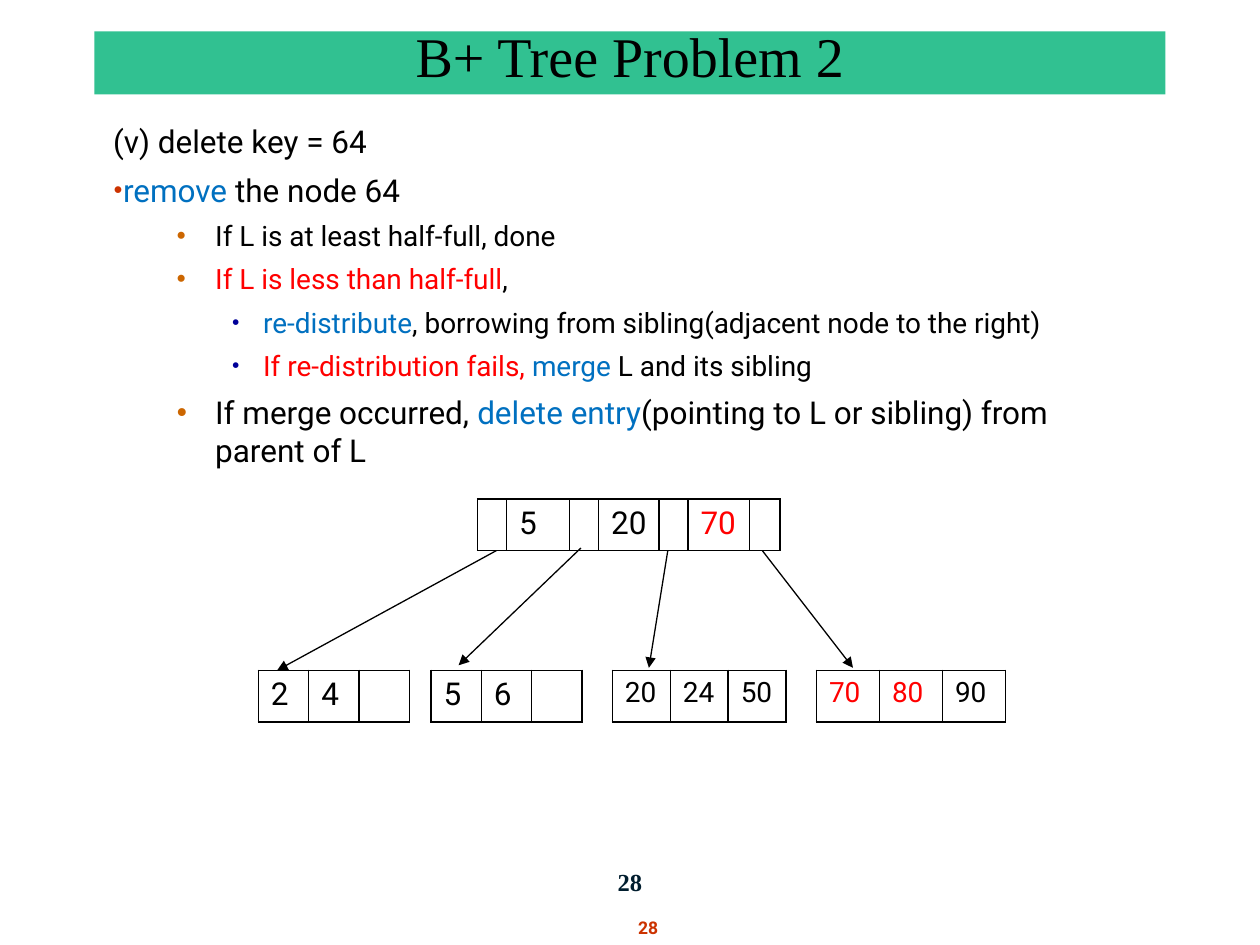
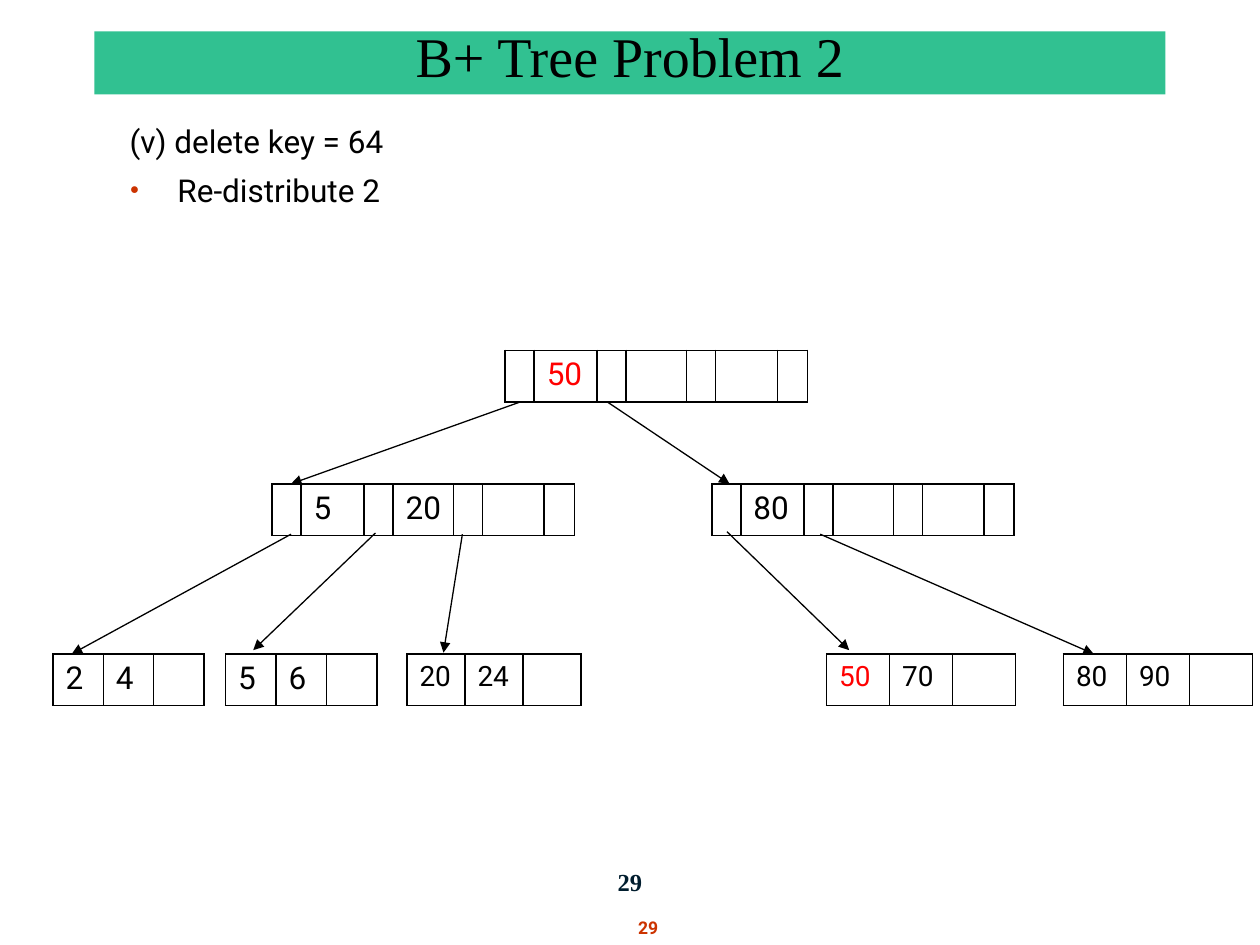
from lxml.etree import SubElement
from pptx import Presentation
from pptx.dml.color import RGBColor
from pptx.enum.shapes import MSO_CONNECTOR, MSO_SHAPE
from pptx.enum.text import MSO_ANCHOR, PP_ALIGN
from pptx.oxml.ns import qn
from pptx.util import Inches, Pt

BLACK = RGBColor(0x00, 0x00, 0x00)
WHITE = RGBColor(0xFF, 0xFF, 0xFF)
RED = RGBColor(0xFF, 0x00, 0x00)
BLUE = RGBColor(0x00, 0x70, 0xC0)
GREEN = RGBColor(0x31, 0xC1, 0x91)
NAVY = RGBColor(0x00, 0x1D, 0x2E)
RUST = RGBColor(0xCC, 0x33, 0x00)
ORANGE = RGBColor(0xCC, 0x66, 0x00)
INDIGO = RGBColor(0x00, 0x00, 0x99)

SANS = "Roboto"
SERIF = "Times New Roman"
TITLE = "B+ Tree Problem 2"
NODE_HEIGHT = 0.41
INNER_COLUMNS = [0.23, 0.5, 0.23, 0.48, 0.23, 0.49, 0.24]
NARROW_LEAF = [0.4] * 3
MEDIUM_LEAF = [0.46] * 3
WIDE_LEAF = [0.5] * 3

PLAIN = (0, 0, None, None)
FLUSH_BULLET = (0, 0, RUST, 90)
PLAIN_HANGING = (0.38, -0.38, None, None)
MAIN_BULLET = (0.38, -0.38, RUST, 90)
SUB_BULLET = (0.81, -0.31, ORANGE, 105)
DETAIL_BULLET = (1.19, -0.25, INDIGO, 85)

PAGES = [
    {
        "number": "28",
        "body": (0.8, 0.92, 8.3, 2.7),
        "paragraphs": [
            (PLAIN, 18, [("(v) delete key = 64", BLACK)]),
            (FLUSH_BULLET, 18, [("remove", BLUE), (" the node 64", BLACK)]),
            (SUB_BULLET, 16, [("If L is at least half-full, done", BLACK)]),
            (SUB_BULLET, 16, [("If L is less than half-full", RED), (",", BLACK)]),
            (DETAIL_BULLET, 16, [
                ("re-distribute", BLUE),
                (", borrowing from sibling(adjacent node to the right)", BLACK),
            ]),
            (DETAIL_BULLET, 16, [
                ("If re-distribution fails, ", RED),
                ("merge", BLUE),
                (" L and its sibling", BLACK),
            ]),
            (SUB_BULLET, 18, [
                ("If merge occurred, ", BLACK),
                ("delete entry", BLUE),
                ("(pointing to L or sibling) from parent of L", BLACK),
            ]),
        ],
        "red_keys": {"70", "80"},
        "inner_nodes": [(3.79, 3.96, ["5", "20", "70"])],
        "leaf_top": 5.32,
        "leaves": [
            (2.05, NARROW_LEAF, 18, ["2", "4", ""]),
            (3.42, NARROW_LEAF, 18, ["5", "6", ""]),
            (4.86, MEDIUM_LEAF, 16, ["20", "24", "50"]),
            (6.48, WIDE_LEAF, 16, ["70", "80", "90"]),
        ],
        "arrows": [
            (3.94, 4.37, 2.2, 5.32),
            (4.61, 4.35, 3.64, 5.28),
            (5.3, 4.37, 5.15, 5.3),
            (6.05, 4.37, 6.77, 5.3),
        ],
    },
    {
        "number": "29",
        "body": (0.93, 0.92, 8.65, 5.72),
        "paragraphs": [
            (PLAIN_HANGING, 18, [("(v) delete key = 64", BLACK)]),
            (MAIN_BULLET, 18, [("Re-distribute 2", BLACK)]),
        ],
        "red_keys": {"50"},
        "inner_nodes": [
            (4.01, 2.78, ["50", "", ""]),
            (2.16, 3.84, ["5", "20", ""]),
            (5.65, 3.84, ["80", "", ""]),
        ],
        "leaf_top": 5.19,
        "leaves": [
            (0.42, NARROW_LEAF, 18, ["2", "4", ""]),
            (1.79, NARROW_LEAF, 18, ["5", "6", ""]),
            (3.23, MEDIUM_LEAF, 16, ["20", "24", ""]),
            (6.56, WIDE_LEAF, 16, ["50", "70", ""]),
            (8.44, WIDE_LEAF, 16, ["80", "90", ""]),
        ],
        "arrows": [
            (4.13, 3.19, 2.31, 3.84),
            (4.82, 3.19, 5.79, 3.84),
            (2.31, 4.24, 0.57, 5.19),
            (2.98, 4.23, 2.01, 5.16),
            (3.67, 4.24, 3.52, 5.18),
            (5.77, 4.22, 6.74, 5.16),
            (6.51, 4.24, 8.68, 5.19),
        ],
    },
]


def write_centred(box, text, font_name, size, color, bold=False):
    para = box.text_frame.paragraphs[0]
    para.text = text
    para.alignment = PP_ALIGN.CENTER
    para.font.name = font_name
    para.font.size = Pt(size)
    para.font.bold = bold
    para.font.color.rgb = color


def add_node(page, left, top, columns, size, keys, red_keys):
    frame = page.shapes.add_table(
        1, len(columns), Inches(left), Inches(top), Inches(sum(columns)), Inches(NODE_HEIGHT)
    )
    table = frame.table
    table.first_row = False
    table.horz_banding = False
    for column, width in zip(table.columns, columns):
        column.width = Inches(width)
    for cell, key in zip(table.rows[0].cells, keys):
        cell.margin_right = Inches(0.05)
        properties = cell._tc.get_or_add_tcPr()
        for side in ("a:lnL", "a:lnR", "a:lnT", "a:lnB"):
            border = SubElement(properties, qn(side), w=str(Pt(1)))
            fill = SubElement(border, qn("a:solidFill"))
            SubElement(fill, qn("a:srgbClr"), val=str(BLACK))
        cell.fill.solid()
        cell.fill.fore_color.rgb = WHITE
        para = cell.text_frame.paragraphs[0]
        para.text = key
        para.font.name = SANS
        para.font.size = Pt(size)
        para.font.color.rgb = RED if key in red_keys else BLACK


deck = Presentation()
deck.slide_width = Inches(10)
deck.slide_height = Inches(7.5)

for content in PAGES:
    page = deck.slides.add_slide(deck.slide_layouts[6])

    small_number = page.shapes.add_textbox(Inches(4.96), Inches(7.23), Inches(0.37), Inches(0.27))
    small_number.text_frame.word_wrap = False
    write_centred(small_number, content["number"], SANS, 10, RUST, bold=True)

    title_band = page.shapes.add_shape(
        MSO_SHAPE.RECTANGLE, Inches(0.75), Inches(0.25), Inches(8.5), Inches(0.5)
    )
    title_band.shadow.inherit = False
    title_band.fill.solid()
    title_band.fill.fore_color.rgb = GREEN
    title_band.line.fill.background()
    title_band.text_frame.word_wrap = True
    title_band.text_frame.vertical_anchor = MSO_ANCHOR.BOTTOM
    write_centred(title_band, TITLE, SERIF, 32, BLACK)

    body = page.shapes.add_textbox(*map(Inches, content["body"]))
    body.text_frame.word_wrap = True
    for index, (style, size, spans) in enumerate(content["paragraphs"]):
        margin, indent, bullet_color, bullet_percent = style
        para = body.text_frame.add_paragraph() if index else body.text_frame.paragraphs[0]
        para.space_before = Pt(0.35 * size)
        properties = para._p.get_or_add_pPr()
        properties.set("marL", str(Inches(margin)))
        properties.set("indent", str(Inches(indent)))
        if bullet_color:
            color = SubElement(properties, qn("a:buClr"))
            SubElement(color, qn("a:srgbClr"), val=str(bullet_color))
            SubElement(properties, qn("a:buSzPct"), val=str(bullet_percent * 1000))
            SubElement(properties, qn("a:buFont"), typeface=SERIF)
            SubElement(properties, qn("a:buChar"), char="•")
        para.font.name = SANS
        para.font.size = Pt(size)
        for text, span_color in spans:
            span = para.add_run()
            span.text = text
            span.font.color.rgb = span_color

    for left, top, keys in content["inner_nodes"]:
        cells = [""]
        for key in keys:
            cells += [key, ""]
        add_node(page, left, top, INNER_COLUMNS, 18, cells, content["red_keys"])
    for left, columns, size, keys in content["leaves"]:
        add_node(page, left, content["leaf_top"], columns, size, keys, content["red_keys"])

    for ends in content["arrows"]:
        arrow = page.shapes.add_connector(MSO_CONNECTOR.STRAIGHT, *map(Inches, ends))
        arrow.line.color.rgb = BLACK
        arrow.line.width = Pt(0.75)
        properties = arrow.element.spPr
        SubElement(properties.find(qn("a:ln")), qn("a:tailEnd"), type="triangle")
        SubElement(properties, qn("a:effectLst"))

    page_number = page.shapes.add_textbox(Inches(0.5), Inches(6.83), Inches(9), Inches(0.5))
    page_number.text_frame.word_wrap = True
    write_centred(page_number, content["number"], SERIF, 14, NAVY, bold=True)

deck.save("out.pptx")
